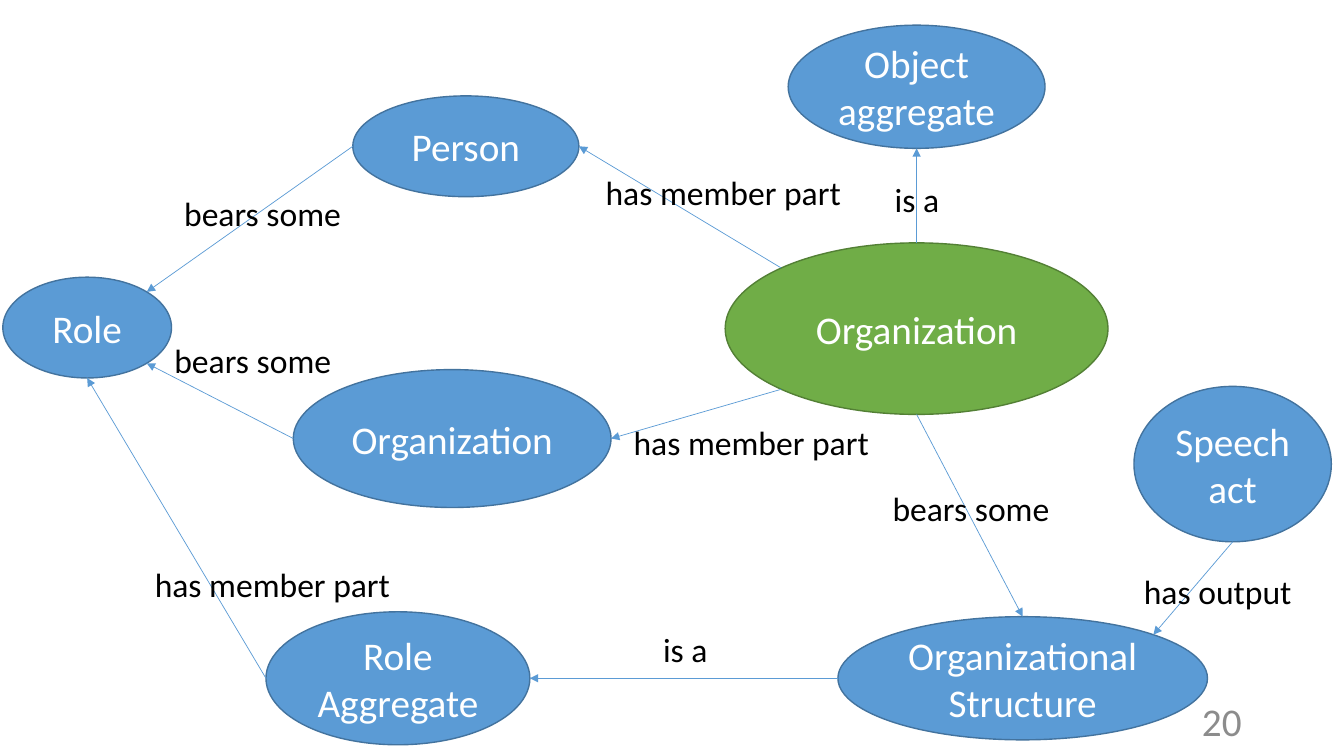
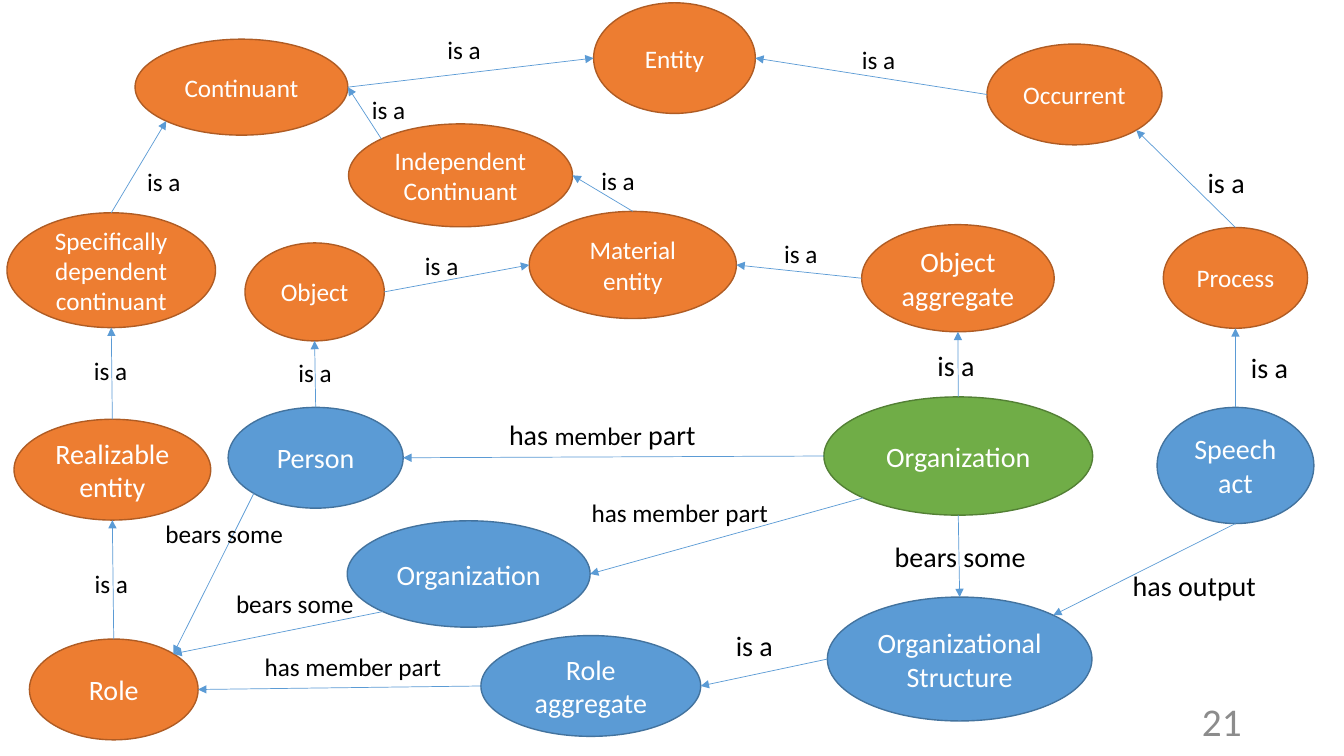
"""Draw two ontology diagrams of organizations as labelled ellipses and arrows."""
from dataclasses import dataclass
from enum import IntEnum
from math import cos, radians, sin

from lxml.etree import SubElement
from pptx import Presentation
from pptx.dml.color import RGBColor
from pptx.enum.shapes import MSO_CONNECTOR, MSO_SHAPE
from pptx.enum.text import MSO_ANCHOR as Anchor, MSO_AUTO_SIZE as AutoSize, PP_ALIGN as Align
from pptx.oxml.ns import qn
from pptx.shapes.autoshape import Shape
from pptx.slide import Slide
from pptx.text.text import _Paragraph as Paragraph
from pptx.util import Pt


@dataclass(frozen=True)
class Tone:
    fill: str
    line: str


@dataclass(frozen=True)
class Theme:
    font: str = "Calibri"
    green: Tone = Tone("70AD47", "538035")
    blue: Tone = Tone("5B9BD5", "43739E")
    orange: Tone = Tone("ED7D31", "AF5C24")
    arrow: str = "5B9BD5"
    on_node: str = "FFFFFF"
    label: str = "000000"
    number: str = "8C8C8C"
    large: int = 28
    medium: int = 24
    small: int = 20
    tiny: int = 18
    node_line: float = 1
    arrow_line: float = 0.5


class Site(IntEnum):
    TOP = 0
    TOP_LEFT = 1
    LEFT = 2
    BOTTOM_LEFT = 3
    BOTTOM = 4
    BOTTOM_RIGHT = 5
    RIGHT = 6
    TOP_RIGHT = 7


@dataclass(frozen=True)
class Node:
    key: str
    text: str
    tone: Tone
    size: int
    left: float
    top: float
    width: float
    height: float

    def point(self, site: Site) -> tuple[Pt, Pt]:
        angle = radians(90 + 45 * site)
        x = self.left + self.width / 2 * (1 + cos(angle))
        y = self.top + self.height / 2 * (1 - sin(angle))
        return Pt(x), Pt(y)


@dataclass(frozen=True)
class Relation:
    source: str
    leaves: Site
    target: str
    enters: Site
    text: str
    size: int
    left: float
    top: float
    tiny_word: str = ""


@dataclass(frozen=True)
class Diagram:
    number: str
    nodes: tuple[Node, ...]
    relations: tuple[Relation, ...]


THEME = Theme()
GREEN, BLUE, ORANGE = THEME.green, THEME.blue, THEME.orange
LARGE, MEDIUM, SMALL, TINY = THEME.large, THEME.medium, THEME.small, THEME.tiny
IS_A, BEARS, MEMBER, OUTPUT = "is a", "bears some", "has member part", "has output"
EM_WIDTHS = {IS_A: 1.36, BEARS: 4.72, MEMBER: 7.08, OUTPUT: 4.46}

ORGANIZATION = Diagram(
    "20",
    (
        Node("organization", "Organization", GREEN, LARGE, 518, 173.5, 273.5, 122.5),
        Node("objects", "Object aggregate", BLUE, LARGE, 563, 18, 183.5, 88),
        Node("structure", "Organizational\nStructure", BLUE, LARGE, 598.5, 440.5, 264, 88),
        Node("person", "Person", BLUE, LARGE, 252, 68.5, 161.5, 72),
        Node("member", "Organization", BLUE, LARGE, 209.5, 264, 227, 98.5),
        Node("role", "Role", BLUE, LARGE, 2, 198, 120.5, 72),
        Node("roles", "Role Aggregate", BLUE, LARGE, 190, 437, 188.5, 95),
        Node("speech", "Speech act", BLUE, LARGE, 810, 276, 141, 111),
    ),
    (
        Relation("organization", Site.TOP, "objects", Site.BOTTOM, IS_A, MEDIUM, 632, 124),
        Relation("organization", Site.BOTTOM, "structure", Site.TOP, BEARS, MEDIUM, 630.5, 345),
        Relation("organization", Site.TOP_LEFT, "person", Site.RIGHT, MEMBER, MEDIUM, 425.5, 119.5),
        Relation("organization", Site.BOTTOM_LEFT, "member", Site.RIGHT, MEMBER, MEDIUM, 445.5, 297.5),
        Relation("person", Site.LEFT, "role", Site.TOP_RIGHT, BEARS, MEDIUM, 124.5, 134),
        Relation("member", Site.LEFT, "role", Site.BOTTOM_RIGHT, BEARS, MEDIUM, 117.5, 239),
        Relation("structure", Site.LEFT, "roles", Site.RIGHT, IS_A, MEDIUM, 466.5, 445.5),
        Relation("roles", Site.LEFT, "role", Site.BOTTOM, MEMBER, MEDIUM, 103.5, 399.5),
        Relation("speech", Site.BOTTOM, "structure", Site.TOP_RIGHT, OUTPUT, MEDIUM, 810, 404),
    ),
)

HIERARCHY = Diagram(
    "21",
    (
        Node("organization", "Organization", GREEN, SMALL, 588.5, 283.5, 192, 84.5),
        Node("objects", "Object aggregate", ORANGE, SMALL, 615.5, 160.5, 137.5, 76.5),
        Node("structure", "Organizational Structure", BLUE, SMALL, 591, 426.5, 189, 88.5),
        Node("person", "Person", BLUE, SMALL, 163, 291, 125, 72),
        Node("member", "Organization", BLUE, SMALL, 248, 372, 173.5, 76),
        Node("role", "Role", ORANGE, SMALL, 21, 456.5, 120.5, 72),
        Node("roles", "Role aggregate", BLUE, SMALL, 343.5, 454, 157, 72),
        Node("speech", "Speech act", BLUE, SMALL, 826.5, 291, 112, 83),
        Node("realizable", "Realizable entity", ORANGE, SMALL, 10, 299.5, 140.5, 72),
        Node("dependent", "Specifically dependent continuant", ORANGE, TINY, 5, 152, 149, 82),
        Node("continuant", "Continuant", ORANGE, TINY, 96.5, 28, 152, 68.5),
        Node("object", "Object", ORANGE, TINY, 175, 173.5, 99.5, 70),
        Node("material", "Material entity", ORANGE, TINY, 378, 151, 148, 76.5),
        Node("independent", "Independent Continuant", ORANGE, TINY, 249, 88.5, 160, 73.5),
        Node("process", "Process", ORANGE, TINY, 831, 162.5, 103, 72),
        Node("occurrent", "Occurrent", ORANGE, TINY, 705, 31.5, 125, 72),
        Node("entity", "Entity", ORANGE, TINY, 424, 2, 115.5, 79),
    ),
    (
        Relation("organization", Site.TOP, "objects", Site.BOTTOM, IS_A, SMALL, 662.5, 245.5),
        Relation("organization", Site.BOTTOM, "structure", Site.TOP, BEARS, SMALL, 632, 381.5),
        Relation("organization", Site.LEFT, "person", Site.RIGHT, MEMBER, SMALL, 356.5, 294.5, "member"),
        Relation("organization", Site.BOTTOM_LEFT, "member", Site.RIGHT, MEMBER, TINY, 415.5, 352),
        Relation("person", Site.BOTTOM_LEFT, "role", Site.TOP_RIGHT, BEARS, TINY, 111, 366.5),
        Relation("member", Site.BOTTOM_LEFT, "role", Site.TOP_RIGHT, BEARS, TINY, 161.5, 417),
        Relation("structure", Site.LEFT, "roles", Site.RIGHT, IS_A, SMALL, 518.5, 445.5),
        Relation("roles", Site.LEFT, "role", Site.RIGHT, MEMBER, TINY, 182, 462),
        Relation("speech", Site.BOTTOM, "structure", Site.TOP_RIGHT, OUTPUT, SMALL, 802, 402.5),
        Relation("role", Site.TOP, "realizable", Site.BOTTOM, IS_A, TINY, 60.5, 402.5),
        Relation("realizable", Site.TOP, "dependent", Site.BOTTOM, IS_A, TINY, 60, 250),
        Relation("dependent", Site.TOP, "continuant", Site.BOTTOM_LEFT, IS_A, TINY, 98, 115),
        Relation("person", Site.TOP, "object", Site.BOTTOM, IS_A, TINY, 206, 252),
        Relation("object", Site.RIGHT, "material", Site.LEFT, IS_A, TINY, 296.5, 175),
        Relation("material", Site.TOP, "independent", Site.RIGHT, IS_A, TINY, 422.5, 114.5),
        Relation("independent", Site.TOP_LEFT, "continuant", Site.RIGHT, IS_A, TINY, 258.5, 64),
        Relation("objects", Site.LEFT, "material", Site.RIGHT, IS_A, TINY, 553, 167),
        Relation("speech", Site.TOP, "process", Site.BOTTOM, IS_A, SMALL, 886.5, 247),
        Relation("process", Site.TOP, "occurrent", Site.BOTTOM_RIGHT, IS_A, SMALL, 855.5, 114.5),
        Relation("continuant", Site.RIGHT, "entity", Site.LEFT, IS_A, TINY, 312.5, 21),
        Relation("occurrent", Site.LEFT, "entity", Site.RIGHT, IS_A, TINY, 608.5, 28),
    ),
)


def rgb(value: str) -> RGBColor:
    return RGBColor.from_string(value)


def add_run(paragraph: Paragraph, text: str, size: int, color: str) -> None:
    run = paragraph.add_run()
    run.text = text
    run.font.name = THEME.font
    run.font.size = Pt(size)
    run.font.color.rgb = rgb(color)


def draw_node(slide: Slide, node: Node) -> Shape:
    ellipse = slide.shapes.add_shape(
        MSO_SHAPE.OVAL, Pt(node.left), Pt(node.top), Pt(node.width), Pt(node.height)
    )
    ellipse.shadow.inherit = False
    ellipse.fill.solid()
    ellipse.fill.fore_color.rgb = rgb(node.tone.fill)
    ellipse.line.color.rgb = rgb(node.tone.line)
    ellipse.line.width = Pt(THEME.node_line)
    frame = ellipse.text_frame
    frame.word_wrap = True
    frame.vertical_anchor = Anchor.MIDDLE
    caption = frame.paragraphs[0]
    caption.alignment = Align.CENTER
    for index, line in enumerate(node.text.split("\n")):
        if index:
            caption.add_line_break()
        add_run(caption, line, node.size, THEME.on_node)
    return ellipse


def draw_arrow(slide: Slide, relation: Relation, nodes: dict[str, Node], ellipses: dict[str, Shape]) -> None:
    start = nodes[relation.source].point(relation.leaves)
    end = nodes[relation.target].point(relation.enters)
    arrow = slide.shapes.add_connector(MSO_CONNECTOR.STRAIGHT, *start, *end)
    arrow.line.color.rgb = rgb(THEME.arrow)
    arrow.line.width = Pt(THEME.arrow_line)
    properties = arrow._element.spPr
    SubElement(properties.find(qn("a:ln")), qn("a:tailEnd"), type="triangle")
    SubElement(properties, qn("a:effectLst"))
    glue = arrow._element.find(f"{qn('p:nvCxnSpPr')}/{qn('p:cNvCxnSpPr')}")
    for tag, key, site in (
        ("a:stCxn", relation.source, relation.leaves),
        ("a:endCxn", relation.target, relation.enters),
    ):
        SubElement(glue, qn(tag), id=str(ellipses[key].shape_id), idx=str(site.value))


def draw_label(slide: Slide, relation: Relation) -> None:
    runs = [(relation.text, relation.size)]
    if relation.tiny_word:
        before, word, after = relation.text.partition(relation.tiny_word)
        runs = [(before, relation.size), (word, THEME.tiny), (after, relation.size)]
    mean_size = sum(size for _, size in runs) / len(runs)
    width = EM_WIDTHS[relation.text] * mean_size + 14.4
    height = 1.2 * relation.size + 7.2
    label = slide.shapes.add_textbox(Pt(relation.left), Pt(relation.top), Pt(width), Pt(height))
    label.text_frame.word_wrap = False
    label.text_frame.auto_size = AutoSize.SHAPE_TO_FIT_TEXT
    for text, size in runs:
        add_run(label.text_frame.paragraphs[0], text, size, THEME.label)


def draw_number(slide: Slide, number: str) -> None:
    frame = slide.shapes.add_textbox(Pt(678), Pt(500.5), Pt(216), Pt(29)).text_frame
    frame.word_wrap = True
    frame.vertical_anchor = Anchor.MIDDLE
    frame.paragraphs[0].alignment = Align.RIGHT
    add_run(frame.paragraphs[0], number, THEME.large, THEME.number)


def draw_diagram(slide: Slide, diagram: Diagram) -> None:
    draw_number(slide, diagram.number)
    nodes = {node.key: node for node in diagram.nodes}
    ellipses = {key: draw_node(slide, node) for key, node in nodes.items()}
    for relation in diagram.relations:
        draw_arrow(slide, relation, nodes, ellipses)
    for relation in diagram.relations:
        draw_label(slide, relation)


def main() -> None:
    deck = Presentation()
    deck.slide_width, deck.slide_height = Pt(960), Pt(540)
    blank = deck.slide_layouts[6]
    for diagram in (ORGANIZATION, HIERARCHY):
        draw_diagram(deck.slides.add_slide(blank), diagram)
    deck.save("out.pptx")


if __name__ == "__main__":
    main()
